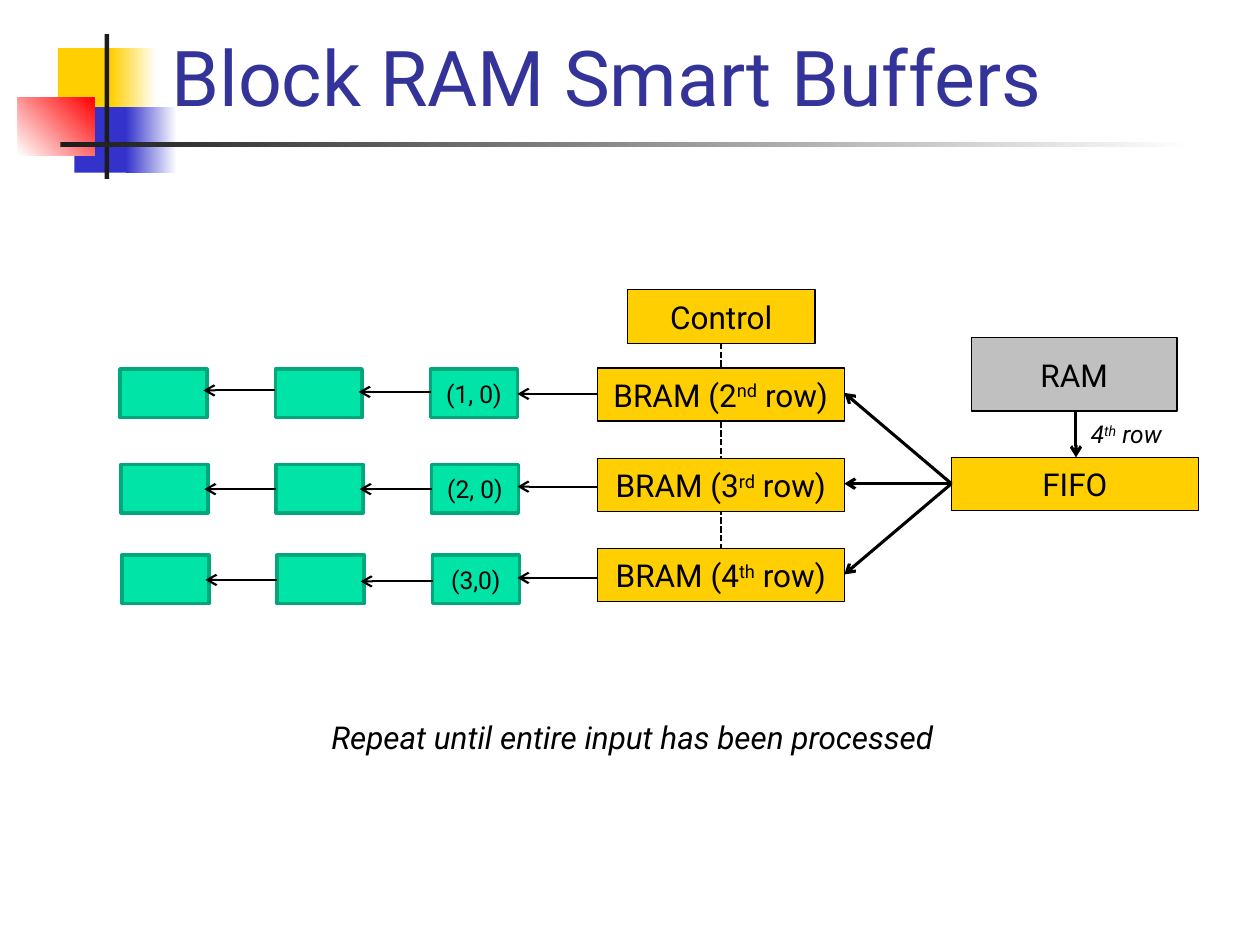
from lxml import etree
from pptx import Presentation
from pptx import util as u
from pptx.dml.color import RGBColor
from pptx.enum import dml, shapes, text
from pptx.oxml.ns import qn

FONT = "Roboto"
COLORS = {
    "title": "333399", "ink": "000000", "bar": "1C1C1C", "white": "FFFFFF",
    "gold": "FFCF01", "blue": "3333CC", "red": "FF0000", "gray": "C0C0C0",
    "register": "00E4A8", "register_edge": "00A77A",
}


def rgb(name):
    return RGBColor.from_string(COLORS[name])


def write(tf, content, size, color="ink", align=text.PP_ALIGN.LEFT, italic=False):
    """Fill one paragraph; parts between ^ marks are superscript."""
    p = tf.paragraphs[0]
    p.alignment = align
    for i, part in enumerate(content.split("^")):
        r = p.add_run()
        r.text = part
        if i % 2:
            r.font._element.set("baseline", "30000")
    p.font.name, p.font.size, p.font.italic = FONT, u.Pt(size), italic
    p.font.color.rgb = rgb(color)


def add_rect(s, x, y, w, h, fill, fade_to=None, angle=0):
    sp = s.shapes.add_shape(shapes.MSO_SHAPE.RECTANGLE,
                            u.Cm(x), u.Cm(y), u.Cm(w), u.Cm(h))
    sp.shadow.inherit = False
    sp.line.fill.background()
    if fade_to:
        sp.fill.gradient()
        sp.fill.gradient_angle = angle
        for stop, color in zip(sp.fill.gradient_stops, (fill, fade_to)):
            stop.color.rgb = rgb(color)
    else:
        sp.fill.solid()
        sp.fill.fore_color.rgb = rgb(fill)
    return sp


def add_box(s, x, y, w, h, label="", fill="gold", edge="ink", edge_pt=0.75, size=18):
    sp = add_rect(s, x, y, w, h, fill)
    sp.line.color.rgb = rgb(edge)
    sp.line.width = u.Pt(edge_pt)
    if label:
        tf = sp.text_frame
        tf.word_wrap = False
        tf.vertical_anchor = text.MSO_ANCHOR.MIDDLE
        write(tf, label, size, align=text.PP_ALIGN.CENTER)


def add_line(s, x1, y1, x2, y2, width=1.25, dashed=False):
    """Draw a dashed link, or else an arrow ending at the second point."""
    c = s.shapes.add_connector(shapes.MSO_CONNECTOR.STRAIGHT,
                               u.Cm(x1), u.Cm(y1), u.Cm(x2), u.Cm(y2))
    c.line.color.rgb = rgb("ink")
    c.line.width = u.Pt(width)
    if dashed:
        c.line.dash_style = dml.MSO_LINE.SQUARE_DOT
    else:
        etree.SubElement(c.line._get_or_add_ln(), qn("a:tailEnd"), type="arrow")
    etree.SubElement(c._element.spPr, qn("a:effectLst"))


def add_note(s, x, y, w, h, content, size):
    tf = s.shapes.add_textbox(u.Cm(x), u.Cm(y), u.Cm(w), u.Cm(h)).text_frame
    tf.word_wrap = True
    write(tf, content, size, italic=True)


def add_decoration(s):
    add_rect(s, 1.17, 0.97, 1.22, 1.32, "gold")
    add_rect(s, 2.24, 0.97, 0.91, 1.32, "gold", "white")
    add_rect(s, 1.5, 2.16, 1.17, 1.32, "blue")
    add_rect(s, 2.54, 2.16, 1.02, 1.32, "blue", "white")
    add_rect(s, 0.36, 1.96, 1.55, 1.17, "white", "red", angle=45)
    add_rect(s, 2.11, 0.69, 0.09, 2.92, "bar")
    add_rect(s, 1.22, 2.87, 22.86, 0.09, "bar", "white")


def add_title(s, content):
    title = s.shapes.title
    title.left, title.top, title.width, title.height = (
        u.Cm(3.2), u.Cm(0), u.Cm(21.64), u.Cm(2.59))
    tf = title.text_frame
    tf.vertical_anchor = text.MSO_ANCHOR.BOTTOM
    write(tf, content, 44, "title")
    s.shapes._spTree.append(title._element)  # in front of the decoration


def add_buffer_rows(s):
    bram_x, bram_top, bram_pitch = 12.04, 7.42, 1.82
    register_x, register_pitch = 8.68, 3.13
    # BRAM label, register label, register top, arrow heights from right to left
    rows = [
        ("BRAM (2^nd^ row)", "(1, 0)", 7.44, (7.94, 7.9, 7.87)),
        ("BRAM (3^rd^ row)", "(2, 0)", 9.36, (9.81, 9.86, 9.86)),
        ("BRAM (4^th^ row)", "(3,0)", 11.19, (11.65, 11.72, 11.69)),
    ]
    add_line(s, 14.53, 6.91, 14.53, 11.05, dashed=True)
    for i, (bram, value, top, heights) in enumerate(rows):
        shift = 0.02 * i
        add_box(s, bram_x, bram_top + i * bram_pitch, 4.98, 1.07, bram)
        for j in range(3):
            add_box(s, register_x + shift - j * register_pitch, top, 1.75, 0.98,
                    value if j == 0 else "", "register", "register_edge", 2, 14)
        for j, y in enumerate(heights):
            start = register_x + shift - (j - 1) * register_pitch
            if j == 0:
                add_line(s, bram_x, y, 10.43, y)
            else:
                add_line(s, start, y, start - 1.45, y)


def add_source(s):
    """Control, RAM and FIFO, with the FIFO feeding the three BRAMs."""
    add_box(s, 12.65, 5.84, 3.78, 1.08, "Control")
    add_box(s, 19.18, 9.22, 4.98, 1.07, "FIFO")
    add_box(s, 19.58, 6.81, 4.15, 1.48, "RAM", "gray")
    add_line(s, 21.69, 8.3, 21.69, 9.22, 1.75)
    for offset in (1.83, -1.83, 0):
        add_line(s, 19.18, 9.75, 17.02, 9.75 + offset, 1.75)
    add_note(s, 21.74, 8.33, 2.41, 0.86, "4^th^ row", 14)


def main():
    prs = Presentation()
    prs.slide_width, prs.slide_height = u.Cm(25.4), u.Cm(19.05)
    s = prs.slides.add_slide(prs.slide_layouts[5])
    add_decoration(s)
    add_title(s, "Block RAM Smart Buffers")
    add_buffer_rows(s)
    add_source(s)
    add_note(s, 6.43, 14.35, 13.69, 1.02,
             "Repeat until entire input has been processed", 18)
    prs.save("out.pptx")


if __name__ == "__main__":
    main()
